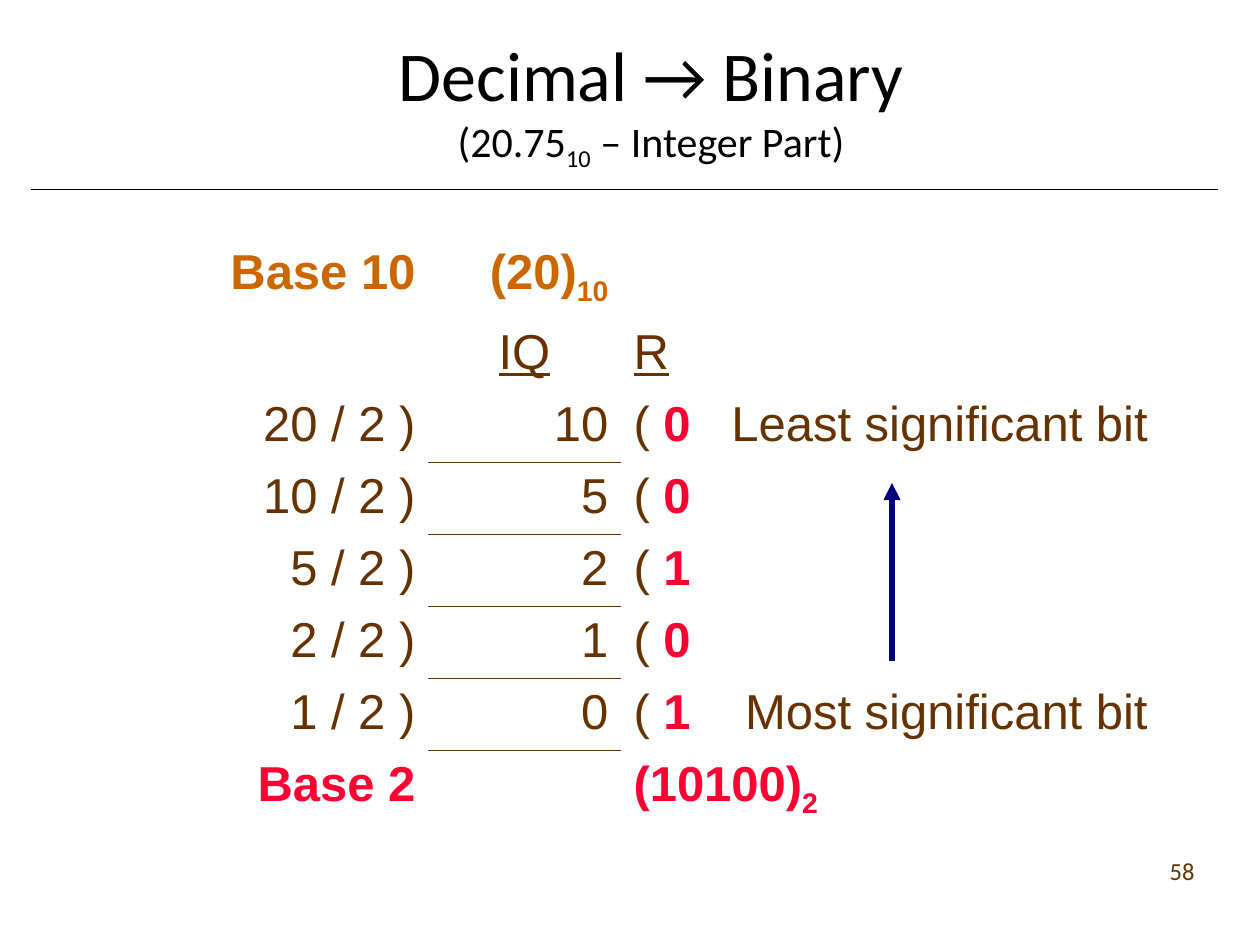
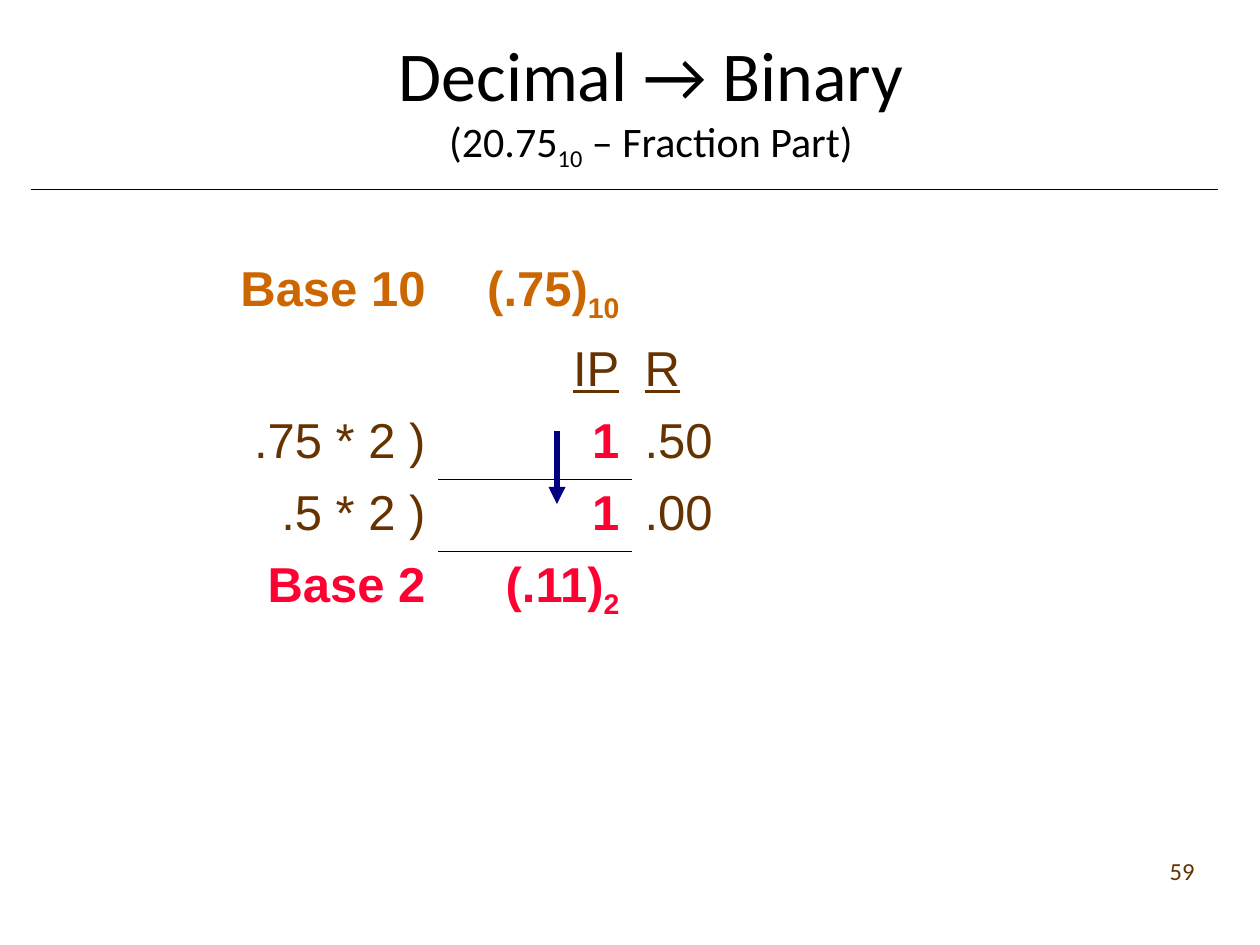
from lxml.etree import SubElement
from pptx import Presentation
from pptx.dml.color import RGBColor
from pptx.enum.shapes import MSO_CONNECTOR
from pptx.enum.text import MSO_ANCHOR, PP_ALIGN as ALIGN
from pptx.oxml import parse_xml
from pptx.oxml.ns import nsdecls, qn
from pptx.util import Emu, Pt

PX_PER_INCH = 126
EMU_PER_PX = 914400 / PX_PER_INCH
BLACK, BROWN, ORANGE, RED, NAVY = "000000", "663300", "CC6600", "FF0033", "000080"
TITLE_FONT, TABLE_FONT = "Calibri", "Arial"
NO_TABLE_STYLE = "{2D5ABB26-0587-4C30-8999-92F81FD0307C}"
TITLE_BOX = (105, 21, 1092, 158)
NUMBER_BOX = (945, 850, 262, 63)
RULE = (31, 189, 1218, 189)
STEP_HEIGHT, BASE_HEIGHT = 72, 79
REMARK_TAB = 514


def px(length):
    return Emu(round(length * EMU_PER_PX))


def color(hex_string):
    return RGBColor.from_string(hex_string)


def add_run(paragraph, text, size=28, font=TABLE_FONT, fill=BROWN,
            bold=False, underline=False, subscript=False):
    run = paragraph.add_run()
    run.text = text
    run.font.size = Pt(size)
    run.font.name = font
    run.font.bold = bold
    run.font.underline = underline
    run.font.color.rgb = color(fill)
    if subscript:
        run.font._element.set("baseline", "-25000")


def add_text_box(slide, box, align, anchor=MSO_ANCHOR.TOP):
    """Add an empty wrapped box and return its first paragraph."""
    frame = slide.shapes.add_textbox(*map(px, box)).text_frame
    frame.word_wrap = True
    frame.vertical_anchor = anchor
    frame.paragraphs[0].alignment = align
    return frame.paragraphs[0]


def add_line(slide, ends, fill, width, arrow=False):
    line = slide.shapes.add_connector(MSO_CONNECTOR.STRAIGHT, *map(px, ends))
    line.line.color.rgb = color(fill)
    line.line.width = Pt(width)
    if arrow:
        SubElement(line.line._get_or_add_ln(), qn("a:tailEnd"), type="triangle")
    SubElement(line._element.spPr, qn("a:effectLst"))


def add_title(slide, part):
    paragraph = add_text_box(slide, TITLE_BOX, ALIGN.CENTER, MSO_ANCHOR.BOTTOM)
    style = dict(font=TITLE_FONT, fill=BLACK)
    add_run(paragraph, "Decimal → Binary", size=40, **style)
    paragraph.add_line_break()
    add_run(paragraph, "(20.75", size=24, **style)
    add_run(paragraph, "10", size=24, subscript=True, **style)
    add_run(paragraph, f" – {part} Part)", size=24, **style)


def add_page_number(slide, number):
    paragraph = add_text_box(slide, NUMBER_BOX, ALIGN.RIGHT)
    add_run(paragraph, str(number), size=14, font=TITLE_FONT)


def plain(text):
    return [(text, {})]


def bold(text, fill=RED):
    return [(text, dict(fill=fill, bold=True))]


def heading(text):
    return [(text, dict(underline=True))]


def in_base(digits, base, fill):
    """Runs for a bracketed number with its base as subscript."""
    return bold(f"({digits})", fill) + [
        (str(base), dict(fill=fill, bold=True, subscript=True))]


def set_border(cell, side, fill):
    cell._tc.get_or_add_tcPr().append(parse_xml(
        f'<a:{side} {nsdecls("a")} w="{Pt(0.45)}"><a:solidFill>'
        f'<a:srgbClr val="{fill}"/></a:solidFill></a:{side}>'))


def add_remark_tab(paragraph):
    tabs = SubElement(paragraph._p.get_or_add_pPr(), qn("a:tabLst"))
    SubElement(tabs, qn("a:tab"), pos=str(px(REMARK_TAB)), algn="r")


def add_steps_table(slide, left, top, widths, rows, rule_color, heading_align):
    """Rows run: source number, headings, ruled steps, result."""
    heights = [BASE_HEIGHT, *[STEP_HEIGHT] * (len(rows) - 2), BASE_HEIGHT]
    shape = slide.shapes.add_table(len(rows), len(widths), px(left), px(top),
                                   px(sum(widths)), px(sum(heights)))
    for style in shape._element.iter(qn("a:tableStyleId")):
        style.text = NO_TABLE_STYLE
    table = shape.table
    table.first_row = table.horz_banding = False
    for column, width in zip(table.columns, widths):
        column.width = px(width)
    for row, height in zip(table.rows, heights):
        row.height = px(height)

    last = len(rows) - 1
    for r, contents in enumerate(rows):
        middle_align = heading_align if r == 1 else ALIGN.RIGHT
        for c, align in enumerate((ALIGN.RIGHT, middle_align, ALIGN.LEFT)):
            cell = table.cell(r, c)
            if c == 1 and r > 2:
                set_border(cell, "lnT", rule_color)
            if c == 1 and 2 <= r < last:
                set_border(cell, "lnB", rule_color)
            cell.fill.background()
            paragraph = cell.text_frame.paragraphs[0]
            paragraph.alignment = align
            if any("\t" in text for text, _ in contents[c]):
                add_remark_tab(paragraph)
            for text, style in contents[c]:
                add_run(paragraph, text, **style)


def add_conversion_slide(presentation, number, part, table, arrow):
    """The arrow's ends are relative to the table's top left corner."""
    slide = presentation.slides.add_slide(presentation.slide_layouts[6])
    add_line(slide, RULE, BLACK, 0.5)
    add_title(slide, part)
    add_steps_table(slide, **table)
    left, top = table["left"], table["top"]
    x, start, end = arrow
    add_line(slide, (left + x, top + start, left + x, top + end), NAVY, 3.25, arrow=True)
    add_page_number(slide, number)


def integer_rows(value):
    steps, bits = [], ""
    quotient = value
    while quotient:
        dividend = quotient
        quotient, bit = divmod(dividend, 2)
        bits = f"{bit}{bits}"
        steps.append([plain(f"{dividend} / 2 )"), plain(str(quotient)),
                      plain("( ") + bold(str(bit))])
    steps[0][2] += plain("\tLeast significant bit")
    steps[-1][2] += plain("\tMost significant bit")
    return [
        [bold("Base 10", ORANGE), in_base(value, 10, ORANGE), []],
        [[], heading("IQ"), heading("R")],
        *steps,
        [bold("Base 2"), [], in_base(bits, 2, RED)],
    ]


def fraction_rows(value, steps):
    bits = "".join(bit for _, bit, _ in steps)
    return [
        [bold("Base 10", ORANGE), in_base(value, 10, ORANGE), []],
        [[], heading("IP"), heading("R")],
        *[[plain(f"{factor} * 2 )"), bold(bit), plain(rest)]
          for factor, bit, rest in steps],
        [bold("Base 2"), in_base(f".{bits}", 2, RED), []],
    ]


def main():
    presentation = Presentation()
    presentation.slide_width = px(10 * PX_PER_INCH)
    presentation.slide_height = px(945)
    add_conversion_slide(
        presentation, 58, "Integer",
        dict(left=189, top=239, widths=(239, 193, 554), rows=integer_rows(20),
             rule_color=BROWN, heading_align=ALIGN.CENTER),
        arrow=(703, 422, 244))
    add_conversion_slide(
        presentation, 59, "Fraction",
        dict(left=199, top=256, widths=(239, 194, 554),
             rows=fraction_rows(".75", [(".75", "1", ".50"), (".5", "1", ".00")]),
             rule_color=BLACK, heading_align=ALIGN.RIGHT),
        arrow=(358, 175, 248))
    presentation.save("out.pptx")


if __name__ == "__main__":
    main()
